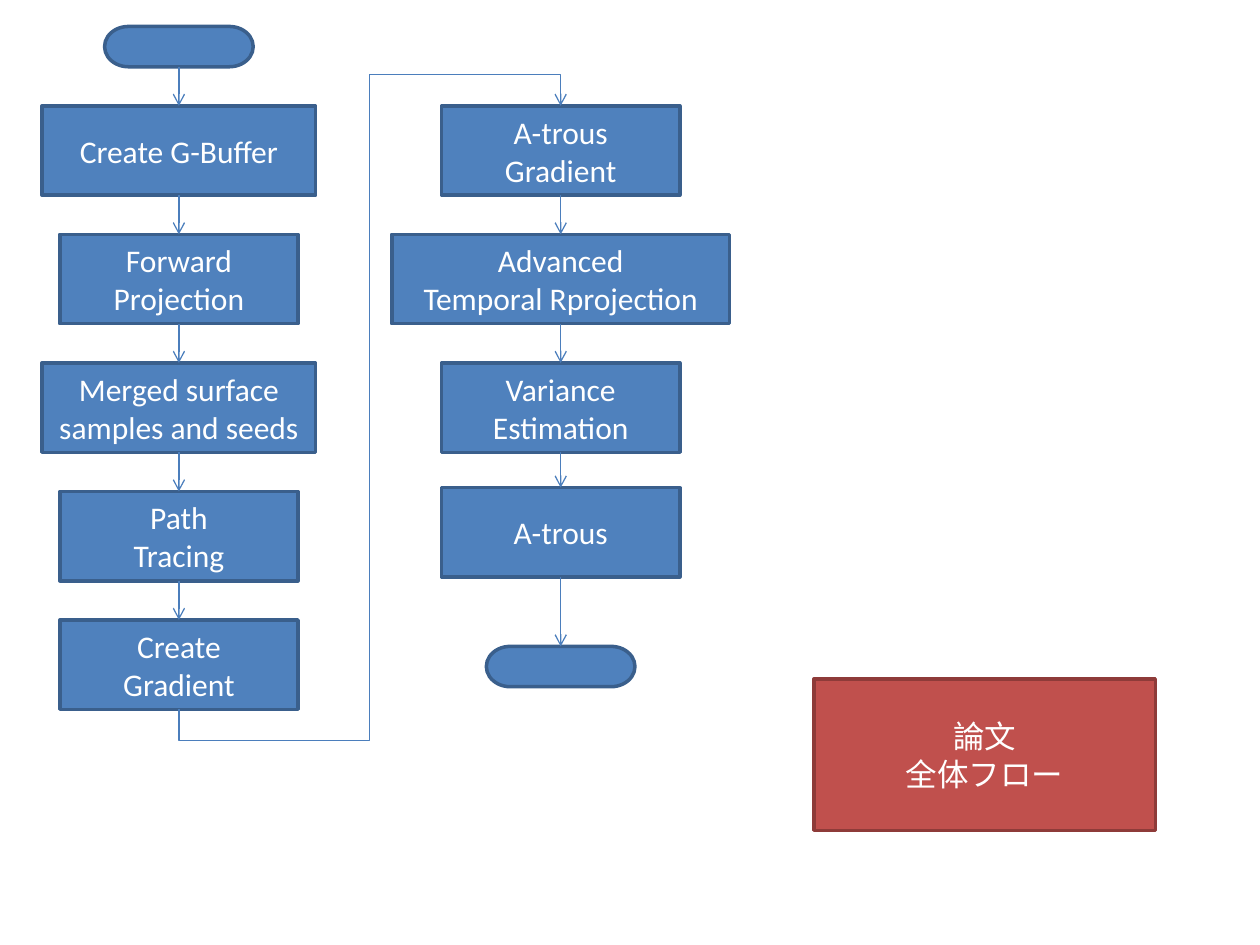
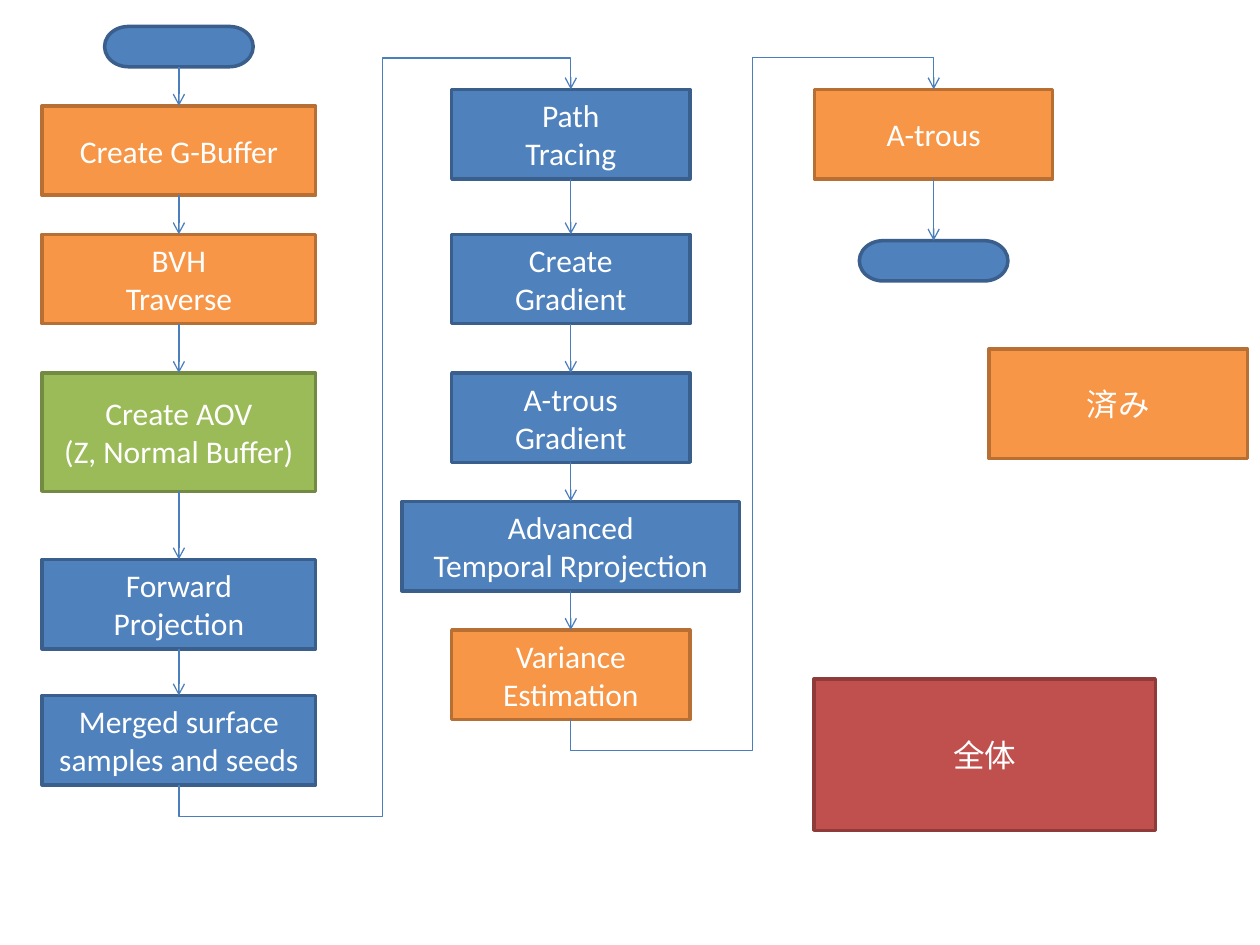
import lxml.etree
import pptx
import pptx.dml.color
import pptx.enum.shapes
import pptx.enum.text
import pptx.oxml.ns
import pptx.util

SHAPES = pptx.enum.shapes.MSO_SHAPE
CONNECTORS = pptx.enum.shapes.MSO_CONNECTOR
TOP_SITE, BOTTOM_SITE = 0, 2

# Fill and outline of each kind of box
COLOURS = {
    "todo": ("4F81BD", "3A5F8C"),
    "done": ("F79646", "B76F34"),
    "new": ("9BBB59", "738A42"),
    "title": ("C0504D", "8E3B39"),
}
ARROW_COLOUR = "4B7EBC"
FONT = {"name": "Calibri", "size": pptx.util.Pt(18)}
FRAME = {"word_wrap": True, "vertical_anchor": pptx.enum.text.MSO_ANCHOR.MIDDLE}

# Lengths in inches
NARROW, MEDIUM, WIDE = 1.89, 2.17, 2.68
STEP_HEIGHT, GAP = 0.71, 0.31
OVERSHOOT = 0.25
TITLE_AREA = (6.46, 5.39, 2.71, 1.2)
TERMINATOR = {"text": "", "width": 1.18, "height": 0.32, "outline": SHAPES.FLOWCHART_TERMINATOR}


def step(text, width=NARROW, **changes):
    return {"text": text, "width": width, **changes}


GBUFFER = step("Create G-Buffer", MEDIUM)
MERGE = step("Merged surface samples and seeds", MEDIUM)
FORWARD = step("Forward\nProjection")
PATH_TRACING = step("Path\nTracing")
GRADIENT = step("Create\nGradient")
ATROUS_GRADIENT = step("A-trous\nGradient")
REPROJECTION = step("Advanced\nTemporal Rprojection", WIDE)
VARIANCE = step("Variance\nEstimation")
ATROUS = step("A-trous")

# "lane" is where the arrow from the column before rises, as a share of the way across
SLIDES = [
    {
        "title": "論文\n全体フロー",
        "legend": [],
        "columns": [
            {"centre": 1.42, "top": 0.21, "steps": [
                TERMINATOR, GBUFFER, FORWARD, MERGE, PATH_TRACING, GRADIENT]},
            {"centre": 4.45, "top": 0.84, "lane": 0.5, "steps": [
                ATROUS_GRADIENT, REPROJECTION, VARIANCE,
                ATROUS | {"gap": 0.28}, TERMINATOR | {"gap": 0.55}]},
        ],
    },
    {
        "title": "全体",
        "legend": [("済み", "done", (7.85, 2.77, 2.05, 0.87))],
        "columns": [
            {"centre": 1.42, "top": 0.21, "steps": [
                TERMINATOR,
                GBUFFER | {"kind": "done"},
                step("BVH\nTraverse", MEDIUM, kind="done"),
                step("Create AOV\n(Z, Normal Buffer)", MEDIUM, kind="new", height=0.94, gap=0.39),
                FORWARD | {"width": MEDIUM, "gap": 0.54},
                MERGE | {"gap": 0.37}]},
            {"centre": 4.53, "top": 0.71, "lane": 0.52, "steps": [
                PATH_TRACING,
                GRADIENT | {"gap": 0.44},
                ATROUS_GRADIENT | {"gap": 0.39},
                REPROJECTION,
                VARIANCE | {"kind": "done"}]},
            {"centre": 7.41, "top": 0.71, "lane": 0.5, "steps": [
                ATROUS | {"kind": "done"}, TERMINATOR | {"gap": 0.49}]},
        ],
    },
]


def colour(hex_string):
    return pptx.dml.color.RGBColor.from_string(hex_string)


def apply(target, values):
    for name, value in values.items():
        setattr(target, name, value)


def add_box(slide, text, kind, area, outline=SHAPES.RECTANGLE):
    box = slide.shapes.add_shape(outline, *map(pptx.util.Inches, area))
    fill, line = COLOURS[kind]
    box.shadow.inherit = False
    box.fill.solid()
    box.fill.fore_color.rgb = colour(fill)
    box.line.color.rgb = colour(line)
    box.line.width = pptx.util.Pt(2)
    apply(box.text_frame, FRAME)
    if text:
        box.text_frame.text = text
    for para in box.text_frame.paragraphs:
        para.alignment = pptx.enum.text.PP_ALIGN.CENTER
        for span in para.runs:
            apply(span.font, FONT)
            span.font.color.rgb = colour("FFFFFF")
    return box


def style_arrow(arrow):
    arrow.line.color.rgb = colour(ARROW_COLOUR)
    arrow.line.width = pptx.util.Pt(0.75)
    qn = pptx.oxml.ns.qn
    lxml.etree.SubElement(arrow.line._get_or_add_ln(), qn("a:tailEnd"), type="arrow")
    lxml.etree.SubElement(arrow.element.spPr, qn("a:effectLst"))


def link_down(slide, upper, lower):
    arrow = slide.shapes.add_connector(CONNECTORS.STRAIGHT, 0, 0, 0, 0)
    arrow.begin_connect(upper, BOTTOM_SITE)
    arrow.end_connect(lower, TOP_SITE)
    style_arrow(arrow)


def link_across(slide, last, first, lane):
    """Lead from below the last box of a column, up a lane, to above the next column."""
    start_x, start_y = last.left + last.width // 2, last.top + last.height
    end_x, end_y = first.left + first.width // 2, first.top
    run, rise = end_x - start_x, start_y - end_y
    middle_x, middle_y = (start_x + end_x) // 2, (start_y + end_y) // 2
    # A quarter turn swaps the sides, so the frame is laid out as rise by run
    arrow = slide.shapes.add_connector(
        CONNECTORS.ELBOW,
        middle_x + rise // 2, middle_y + run // 2,
        middle_x - rise // 2, middle_y - run // 2)
    properties = arrow.element.spPr
    properties.xfrm.set("rot", str(90 * 60000))
    qn = pptx.oxml.ns.qn
    geometry = properties.find(qn("a:prstGeom"))
    geometry.set("prst", "bentConnector5")
    guides = geometry.find(qn("a:avLst"))
    beyond = pptx.util.Inches(OVERSHOOT) / rise
    for number, share in enumerate((-beyond, lane, 1 + beyond), 1):
        lxml.etree.SubElement(
            guides, qn("a:gd"), name=f"adj{number}", fmla=f"val {round(share * 100000)}")
    style_arrow(arrow)


def add_column(slide, column):
    boxes, top = [], column["top"]
    for item in column["steps"]:
        if boxes:
            top += item.get("gap", GAP)
        width, height = item["width"], item.get("height", STEP_HEIGHT)
        area = (column["centre"] - width / 2, top, width, height)
        boxes.append(add_box(slide, item["text"], item.get("kind", "todo"), area,
                             item.get("outline", SHAPES.RECTANGLE)))
        top += height
    for upper, lower in zip(boxes, boxes[1:]):
        link_down(slide, upper, lower)
    return boxes


def main():
    deck = pptx.Presentation()
    deck.slide_width, deck.slide_height = pptx.util.Inches(10), pptx.util.Inches(7.5)
    for content in SLIDES:
        slide = deck.slides.add_slide(deck.slide_layouts[6])
        add_box(slide, content["title"], "title", TITLE_AREA)
        for text, kind, area in content["legend"]:
            add_box(slide, text, kind, area)
        previous = None
        for column in content["columns"]:
            boxes = add_column(slide, column)
            if previous:
                link_across(slide, previous[-1], boxes[0], column["lane"])
            previous = boxes
    deck.save("out.pptx")


if __name__ == "__main__":
    main()
